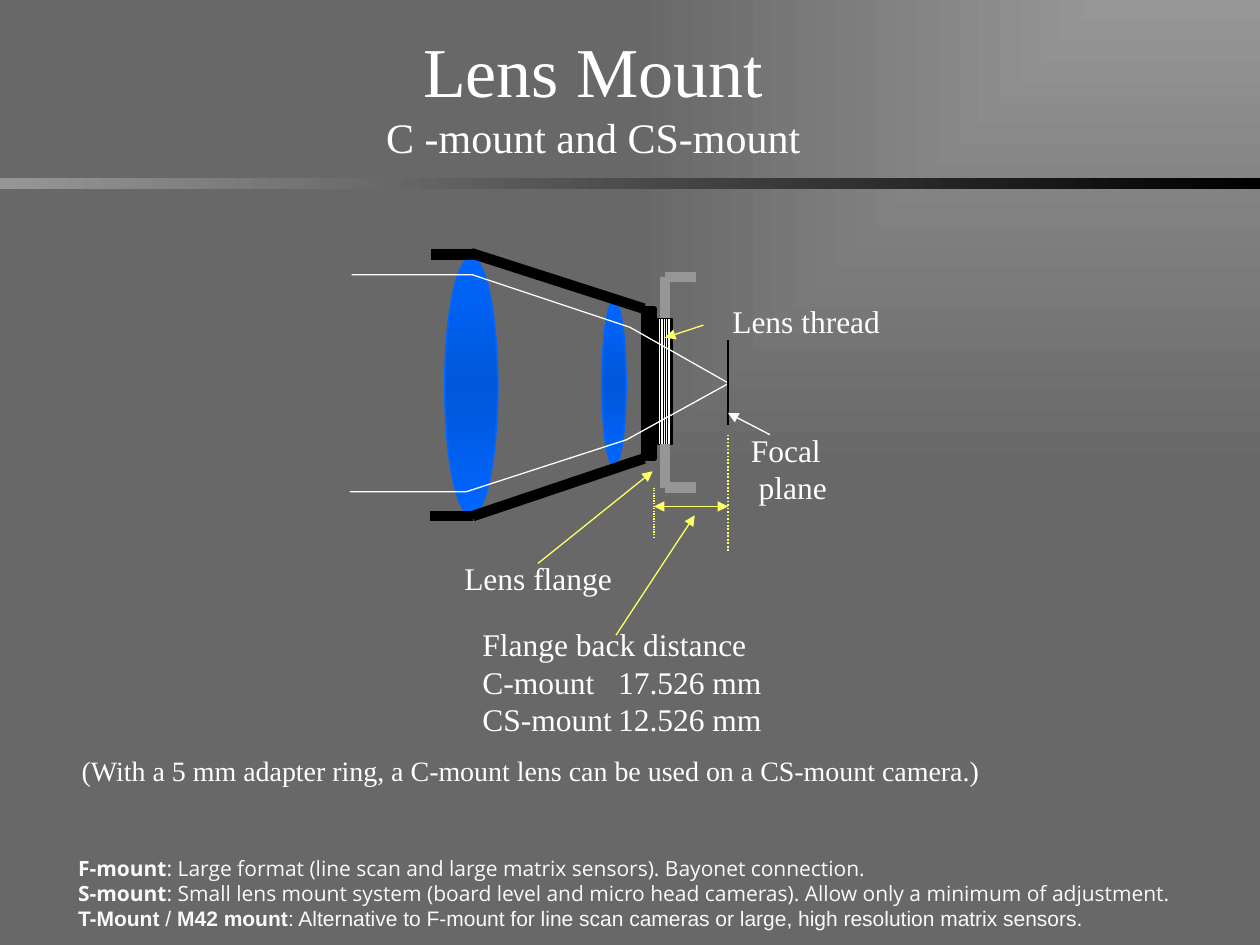
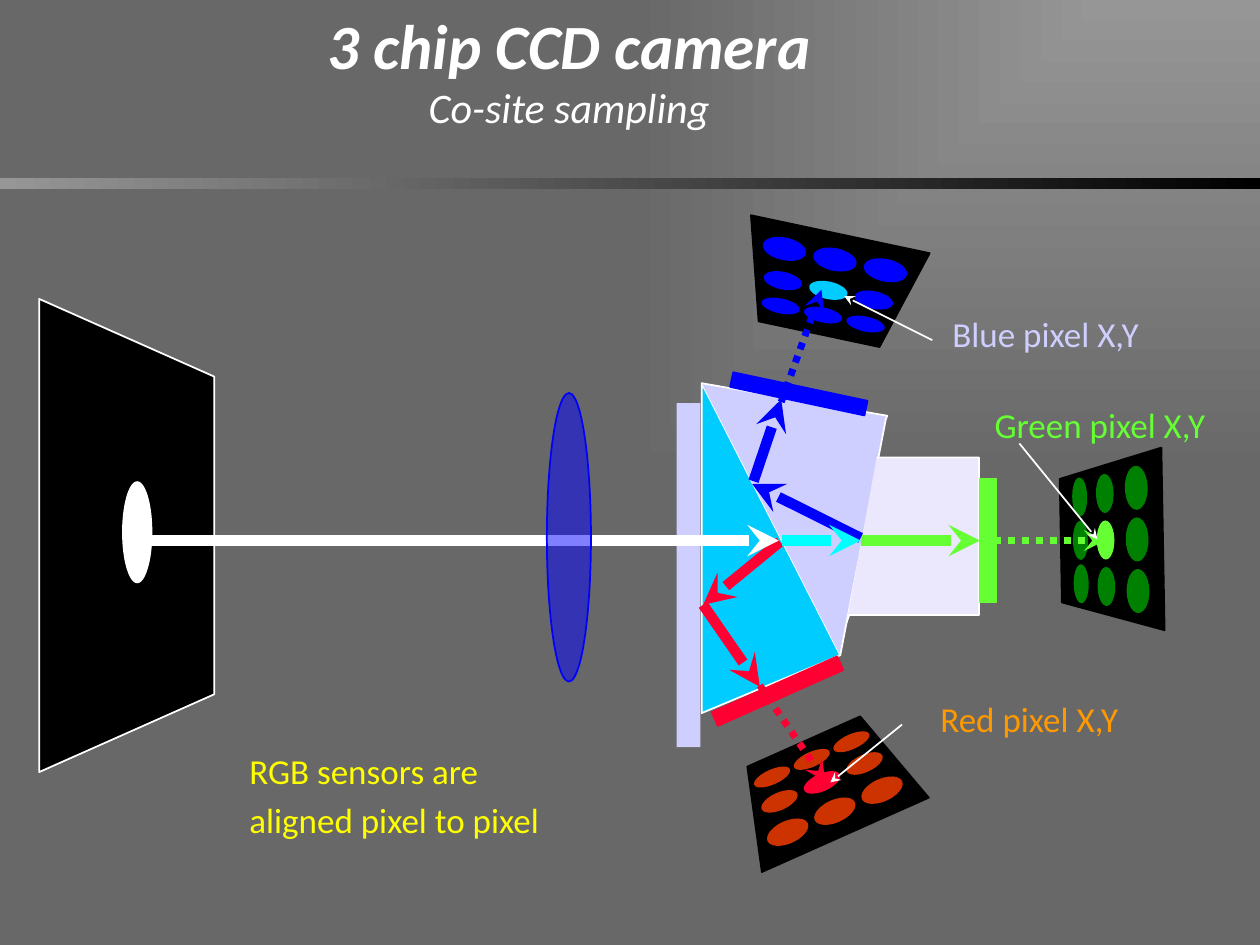
"""Build two slides on lens mounts and three-chip cameras."""
from dataclasses import dataclass
from math import cos, radians, sin
from typing import Optional

from lxml.etree import SubElement
from pptx import Presentation
from pptx.dml.color import RGBColor
from pptx.enum.dml import MSO_LINE, MSO_PATTERN
from pptx.enum.shapes import MSO_CONNECTOR, MSO_SHAPE
from pptx.enum.text import MSO_ANCHOR, MSO_AUTO_SIZE, PP_ALIGN
from pptx.oxml import parse_xml
from pptx.oxml.ns import nsdecls, qn
from pptx.util import Pt

RECTANGLE, ELLIPSE = MSO_SHAPE.RECTANGLE, MSO_SHAPE.OVAL
STRAIGHT, DOTTED = MSO_CONNECTOR.STRAIGHT, MSO_LINE.ROUND_DOT
LEFT, CENTER = PP_ALIGN.LEFT, PP_ALIGN.CENTER
TOP, MIDDLE = MSO_ANCHOR.TOP, MSO_ANCHOR.MIDDLE
FIT_SHAPE, NO_FIT = MSO_AUTO_SIZE.SHAPE_TO_FIT_TEXT, MSO_AUTO_SIZE.NONE
NARROW_VERTICAL = MSO_PATTERN.NARROW_VERTICAL
SIDE_TOP, SIDE_LEFT, SIDE_BOTTOM = 0, 1, 2
SERIF, SANS = "Times New Roman", "Calibri"
COLORS = {
    "light gray": "969696", "page": "686868", "black": "000000", "white": "FFFFFF",
    "off white": "FAFAFA", "pale yellow": "FFFF66", "yellow": "FFFF00",
    "glass": "0066FF", "glass core": "0057DA", "blue": "0000FF", "sky": "00CCFF",
    "cyan": "00FFFF", "lavender": "CFCFFF", "clear": "EBE7FD", "green": "66FF33",
    "dark green": "008000", "red": "FF0033", "rust": "CC3300", "orange": "FF9900",
}
LENS_STOPS = ((0, "glass"), (50, "glass core"), (100, "glass"))
CORNER = '<a:path path="rect"><a:fillToRect l="100000" b="100000"/></a:path>'
ACROSS, DOWN = '<a:lin ang="0" scaled="0"/>', '<a:lin ang="5400000" scaled="0"/>'
SENSOR_OUTLINE = ((-52.2, 29.2), (-35.3, -29.2), (35.3, -29.2), (52.2, 29.2))
PIXEL_ROWS = ((14.4, 29.5, 25.2, 13), (-3.6, 26.6, 22.3, 10.1), (-18, 24.8, 22.3, 8.6))
MOUNTS = (
    ("Open Sans", (("F-mount", True),
                   (": Large format (line scan and large matrix sensors). Bayonet connection.", False))),
    ("Open Sans", (("S-mount", True),
                   (": Small lens mount system (board level and micro head cameras). "
                    "Allow only a minimum of adjustment.", False))),
    ("Arial", (("T-Mount", True), (" / ", False), ("M42 mount", True),
               (": Alternative to F-mount for line scan cameras or large, "
                "high resolution matrix sensors.", False))),
)


@dataclass
class Label:
    """A text box and its type style."""
    lines: tuple
    frame: tuple
    size: float = 18
    font: str = SERIF
    color: str = "white"
    align: int = LEFT
    wrap: bool = False
    tab_stop: float = 0
    last_indent: float = 0
    last_space: float = 0


@dataclass
class Stroke:
    """A straight line, with optional arrowheads and joined shapes."""
    start: tuple
    end: tuple
    color: str
    width: float = 0.75
    arrow: str = ""
    both: bool = False
    dotted: bool = False
    begin_join: Optional[tuple] = None
    end_join: Optional[tuple] = None


@dataclass
class Sensor:
    """A tilted chip with a three by three pixel grid."""
    center: tuple
    angle: float
    pixel: str
    target: str

    def place(self, across: float, down: float) -> tuple:
        """Turn chip coordinates into page coordinates."""
        turn = radians(self.angle)
        return (self.center[0] + across * cos(turn) - down * sin(turn),
                self.center[1] + across * sin(turn) + down * cos(turn))


def rgb(name: str) -> RGBColor:
    """Look up a colour."""
    return RGBColor.from_string(COLORS[name])


def set_gradient(fill, holder, stops: tuple, direction: str) -> None:
    """Give a fill the named stops and direction."""
    fill.gradient()
    gradient = holder.find(".//" + qn("a:gradFill"))
    marks = "".join(f'<a:gs pos="{place * 1000}"><a:srgbClr val="{COLORS[name]}"/></a:gs>'
                    for place, name in stops)
    gradient.getparent().replace(gradient, parse_xml(
        f'<a:gradFill {nsdecls("a")} rotWithShape="1"><a:gsLst>{marks}</a:gsLst>{direction}</a:gradFill>'))


def paint(shape, fill: str = "", line: str = "", width: float = 1) -> None:
    """Set fill and outline, and drop the shadow."""
    shape.shadow.inherit = False
    if fill:
        shape.fill.solid()
        shape.fill.fore_color.rgb = rgb(fill)
    else:
        shape.fill.background()
    if line:
        shape.line.color.rgb = rgb(line)
        shape.line.width = Pt(width)
    else:
        shape.line.fill.background()


def add_solid(page, kind: int, frame: tuple, fill: str, line: str = "",
              width: float = 1, angle: float = 0):
    """Add a preset shape."""
    shape = page.shapes.add_shape(kind, *map(Pt, frame))
    paint(shape, fill, line, width)
    shape.rotation = angle
    return shape


def add_outline(page, points: tuple, fill: str = "", line: str = "white",
                width: float = 1, close: bool = False) -> None:
    """Add a freeform through the points."""
    corners = [(Pt(x), Pt(y)) for x, y in points]
    builder = page.shapes.build_freeform(*corners[0])
    builder.add_line_segments(corners[1:], close=close)
    paint(builder.convert_to_shape(), fill, line, width)


def add_stroke(page, stroke: Stroke) -> None:
    """Draw one line."""
    connector = page.shapes.add_connector(STRAIGHT, *map(Pt, stroke.start + stroke.end))
    connector.line.color.rgb = rgb(stroke.color)
    connector.line.width = Pt(stroke.width)
    if stroke.dotted:
        connector.line.dash_style = DOTTED
    if stroke.begin_join:
        connector.begin_connect(*stroke.begin_join)
    if stroke.end_join:
        connector.end_connect(*stroke.end_join)
    properties = connector.element.spPr
    outline = properties.find(qn("a:ln"))
    if stroke.both:
        SubElement(outline, qn("a:headEnd"), type=stroke.arrow)
    if stroke.arrow:
        SubElement(outline, qn("a:tailEnd"), type=stroke.arrow)
    SubElement(properties, qn("a:effectLst"))


def style(para, size: float, font: str, color: str, align: int = LEFT) -> None:
    """Set the type style of a paragraph."""
    para.alignment = align
    para.space_before = Pt(0)
    para.font.size, para.font.name = Pt(size), font
    para.font.color.rgb = rgb(color)


def add_label(page, label: Label) -> None:
    """Add a text box."""
    box = page.shapes.add_textbox(*map(Pt, label.frame))
    frame = box.text_frame
    frame.word_wrap, frame.auto_size = label.wrap, FIT_SHAPE
    frame.text = "\n".join(label.lines)
    for para in frame.paragraphs:
        if label.tab_stop:
            tabs = SubElement(para._p.get_or_add_pPr(), qn("a:tabLst"))
            SubElement(tabs, qn("a:tab"), pos=str(Pt(label.tab_stop)), algn="l")
        style(para, label.size, label.font, label.color, label.align)
    last = frame.paragraphs[-1]
    if label.last_indent:
        last._p.get_or_add_pPr().set("marL", str(Pt(label.last_indent)))
    if label.last_space:
        last.space_before = Pt(label.last_space)


def place_holder(holder, frame: tuple, anchor: int):
    """Move a placeholder and return its text frame."""
    holder.left, holder.top, holder.width, holder.height = map(Pt, frame)
    text = holder.text_frame
    text.word_wrap, text.auto_size, text.vertical_anchor = True, NO_FIT, anchor
    return text


def set_title(page, lines: tuple, frame: tuple, size: float, font: str, slanted: bool) -> None:
    """Write the heading and its smaller second line."""
    text = place_holder(page.shapes.title, frame, MIDDLE)
    text.text = "\n".join(lines)
    for para, points in zip(text.paragraphs, (size, 24)):
        style(para, points, font, "white", CENTER)
        para.font.italic = slanted
    text.paragraphs[0].font.bold = slanted


def style_master(deck, page) -> None:
    """Put the background and the band on the master."""
    master = deck.slide_master
    set_gradient(master.background.fill, master.element,
                 ((0, "light gray"), (100, "page")), CORNER)
    band = add_solid(page, RECTANGLE, (0, 102, 720, 6), "black")
    set_gradient(band.fill, band.element, ((0, "light gray"), (100, "black")), ACROSS)
    band.element.nvSpPr.cNvPr.id = 20
    master.shapes.element.append(band.element)


def list_mounts(page) -> None:
    """Fill the body with the other mounts."""
    text = place_holder(page.placeholders[1], (37.4, 485.3, 657.4, 51), TOP)
    for index, (font, spans) in enumerate(MOUNTS):
        para = text.paragraphs[0] if index == 0 else text.add_paragraph()
        properties = para._p.get_or_add_pPr()
        properties.set("marL", "0")
        properties.set("indent", "0")
        SubElement(properties, qn("a:buNone"))
        style(para, 12, font, "off white")
        for words, bold in spans:
            span = para.add_run()
            span.text, span.font.bold = words, bold


def build_lens_mount(page) -> None:
    """Draw the lens mount section."""
    set_title(page, ("Lens Mount", "C -mount and CS-mount"), (186, 12, 306, 84), 40, SERIF, False)
    list_mounts(page)
    for label in (
        Label(("Focal", "plane"), (422, 242.6, 58, 50), last_indent=4.5),
        Label(("Flange back distance", "C-mount\t17.526 mm", "CS-mount\t12.526 mm"),
              (268.6, 353.5, 175, 72), tab_stop=77.5),
        Label(("Lens flange",), (257.8, 316, 99.4, 29), align=CENTER),
        Label(("Lens thread",), (411, 169.2, 99.4, 29), align=CENTER),
        Label(("(With a 5 mm adapter ring, a C-mount lens can be used on a CS-mount camera.)",),
              (39.6, 427, 663, 26.6), size=16, wrap=True),
    ):
        add_label(page, label)
    add_solid(page, RECTANGLE, (368, 176.4, 5.8, 85.7), "black", "black", 3)
    thread = add_solid(page, RECTANGLE, (376, 182, 8, 72), "white", "black", 0.75)
    thread.fill.patterned()
    thread.fill.pattern = NARROW_VERTICAL
    thread.fill.fore_color.rgb, thread.fill.back_color.rgb = rgb("black"), rgb("white")
    for frame in ((344, 172, 13.7, 94.3), (254.2, 147, 30.2, 147.6)):
        lens = add_solid(page, ELLIPSE, frame, "glass", "glass")
        set_gradient(lens.fill, lens.element, LENS_STOPS, DOWN)
    for ray in (((201, 157), (270, 157), (360, 187), (416.5, 219)),
                ((416.5, 219), (358, 251.3), (266.4, 281), (200, 281))):
        add_outline(page, ray, width=0.75)
    barrel = (((368, 262), (270, 295)), ((368, 176.4), (269.3, 144.7)),
              ((270, 295), (245.5, 295)), ((270.7, 145.4), (246.2, 145.4)))
    pointers = (((352, 363), (397, 294.5)), ((307.4, 322), (373, 269.3)), ((402, 185.8), (380, 193)))
    strokes = [Stroke(*ends, "black", 6) for ends in barrel]
    strokes += [Stroke(*ends, "pale yellow", arrow="triangle") for ends in pointers]
    for edge, side, start in ((158.4, SIDE_TOP, 182), (278.6, SIDE_BOTTOM, 254)):
        strokes += [Stroke((380, start), (380, edge), "light gray", 6, begin_join=(thread, side)),
                    Stroke((380, edge), (398, edge), "light gray", 6)]
    strokes += [
        Stroke((416, 248.4), (416, 314.6), "pale yellow", 1, dotted=True),
        Stroke((373.7, 278.6), (373.7, 308), "pale yellow", dotted=True),
        Stroke((373.7, 289.4), (416, 289.4), "pale yellow", arrow="triangle", both=True),
        Stroke((416, 242.6), (416, 194.4), "black"),
        Stroke((440, 248.4), (416, 236), "white", arrow="triangle"),
    ]
    for stroke in strokes:
        add_stroke(page, stroke)


def add_sensor(page, sensor: Sensor) -> None:
    """Draw a chip and its pixels."""
    add_outline(page, tuple(sensor.place(*corner) for corner in SENSOR_OUTLINE),
                "black", "black", close=True)
    for row, (down, pitch, width, height) in enumerate(PIXEL_ROWS):
        for column in (-1, 0, 1):
            x, y = sensor.place(column * pitch, down)
            color = sensor.target if (row, column) == (1, 0) else sensor.pixel
            add_solid(page, ELLIPSE, (x - width / 2, y - height / 2, width, height),
                      color, angle=sensor.angle)


def build_camera(page) -> None:
    """Draw the light path of the three-chip camera."""
    set_title(page, ("3 chip CCD camera", "Co-site sampling"), (120, 0, 410.4, 79.2), 36, SANS, True)
    add_outline(page, ((22.4, 441.2), (122.4, 396.8), (122.4, 215.2), (22.4, 170.8)), "black", close=True)
    add_solid(page, ELLIPSE, (69.8, 275, 17.3, 58.3), "white")
    for sensor in (Sensor((635.4, 308.5), 269, "dark green", "green"),
                   Sensor((471.2, 450.4), 336, "rust", "red"),
                   Sensor((474.1, 162.4), 192, "blue", "sky")):
        add_sensor(page, sensor)
    add_solid(page, RECTANGLE, (386.6, 230.4, 13.7, 196.6), "lavender")
    add_outline(page, ((401, 219), (401, 407.5), (480.2, 374.4)), "sky", close=True)
    add_outline(page, ((401, 219), (507, 237.6), (506.2, 239.8), (480.2, 374.4)), "lavender")
    add_outline(page, ((501, 261.4), (559.4, 261.4), (559.4, 351.4), (485.3, 351.4), (483.8, 355.7)), "clear")
    green_filter = add_solid(page, RECTANGLE, (560, 273.6, 9.4, 70.6), "green", "green")
    add_solid(page, RECTANGLE, (440, 355.7, 8.6, 78.5), "red", "red", angle=66)
    add_solid(page, RECTANGLE, (452.2, 185.8, 8.6, 78.5), "blue", "blue", angle=282)
    entry = (green_filter, SIDE_LEFT)
    add_stroke(page, Stroke((491.8, 308.9), (560, 308.9), "green", 6, "stealth", end_join=entry))
    for start, end, color in (
        ((445.7, 309.6), (401.8, 345.6), "red"), ((401.8, 345.6), (434.2, 392.4), "red"),
        ((491.8, 307.4), (429.8, 276.5), "blue"), ((430.6, 275), (446.4, 228.2), "blue"),
        ((447.1, 308.9), (491.8, 308.9), "cyan"), ((79.2, 308.9), (445, 308.9), "white"),
    ):
        add_stroke(page, Stroke(start, end, color, 6, "stealth"))
    lens = add_solid(page, ELLIPSE, (312.5, 224.6, 25.2, 164.9), "blue", "blue")
    SubElement(lens.element.spPr.find(qn("a:solidFill"))[0], qn("a:alpha"), val="50000")
    for start, end, color, join in (((560, 308.9), (631.4, 308.9), "green", entry),
                                    ((434.2, 391.7), (471.6, 446.4), "red", None),
                                    ((446.4, 229.7), (469.4, 165.6), "blue", None)):
        add_stroke(page, Stroke(start, end, color, 4, "stealth", dotted=True, begin_join=join))
    for name, left, top, color, start, end in (
        ("Blue", 522, 175, "lavender", (532.8, 194.4), (482.4, 169.2)),
        ("Red", 512.6, 395.3, "orange", (515.5, 414), (474.5, 447.1)),
        ("Green", 553, 226.8, "green", (582.5, 253.4), (627.1, 308.2)),
    ):
        add_label(page, Label((f"{name} pixel X,Y",), (left, top, 151.2, 31), 20, SANS, color, CENTER, True))
        add_stroke(page, Stroke(start, end, "white", 1, "stealth"))
    add_label(page, Label(("RGB sensors are", "aligned pixel to pixel"), (135.4, 424.8, 202.3, 60),
                          20, SANS, "yellow", last_space=4))


def main() -> None:
    """Build and save the deck."""
    deck = Presentation()
    deck.slide_width, deck.slide_height = Pt(720), Pt(540)
    mount_page = deck.slides.add_slide(deck.slide_layouts[1])
    style_master(deck, mount_page)
    build_lens_mount(mount_page)
    build_camera(deck.slides.add_slide(deck.slide_layouts[5]))
    deck.save("out.pptx")


if __name__ == "__main__":
    main()
